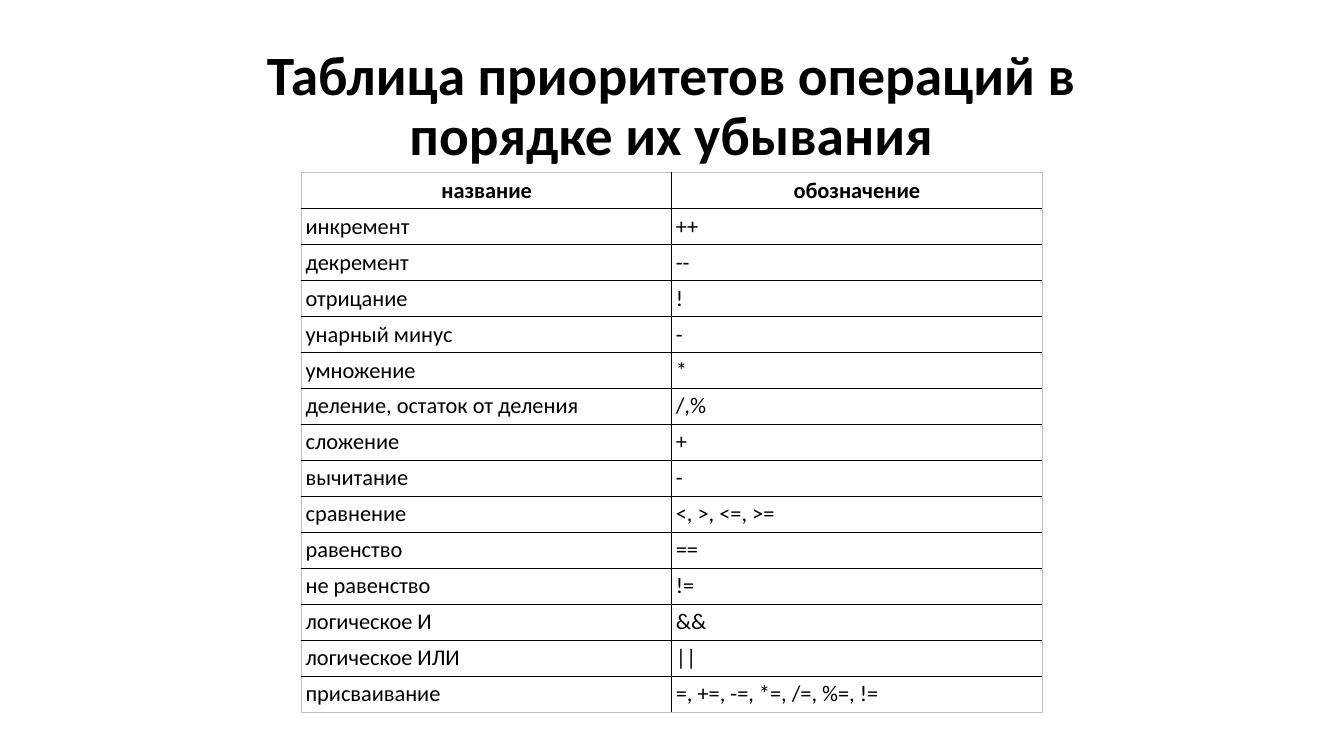
from lxml.etree import SubElement
from pptx import Presentation
from pptx.dml.color import RGBColor as RGB
from pptx.enum.text import MSO_ANCHOR as ANCHOR, PP_ALIGN as ALIGN
from pptx.oxml.ns import qn
from pptx.util import Pt

TITLE = "Таблица приоритетов операций в порядке их убывания"
ROWS = [
    ("название", "обозначение"),
    ("инкремент", "++"),
    ("декремент", "--"),
    ("отрицание", "!"),
    ("унарный минус", "-"),
    ("умножение", "*"),
    ("деление, остаток от деления", "/,%"),
    ("сложение", "+"),
    ("вычитание", "-"),
    ("сравнение", "<, >, <=, >="),
    ("равенство", "=="),
    ("не равенство", "!="),
    ("логическое И", "&&"),
    ("логическое ИЛИ", "||"),
    ("присваивание", "=, +=, -=, *=, /=, %=, !="),
]

THEME = {
    "font": "Calibri", "ink": "000000", "paper": "FFFFFF",
    "title": 39.6, "body": 16,
    "inner": ("000000", 1), "outer": ("C0C0C0", 0.5),
}
SLIDE_W, SLIDE_H = 960, 540
TITLE_BOX = (173.5, 20.9, 612, 102.2)
TABLE_LEFT, TABLE_TOP = 215.4, 123.1
COL_W, ROW_H, INSET = 264.5, 25.73, 2.9


def put_text(tf, text, size, bold=False, align=ALIGN.LEFT, spacing=None):
    """Write one formatted paragraph into a text frame."""
    p = tf.paragraphs[0]
    p.alignment = align
    if spacing:
        p.line_spacing = spacing
    r = p.add_run()
    r.text = text
    r.font.name, r.font.size, r.font.bold = THEME["font"], Pt(size), bold
    r.font.color.rgb = RGB.from_string(THEME["ink"])


def set_borders(cell, edges):
    """Draw the cell's borders; edges maps each side to whether it is outer."""
    tcPr = cell._tc.get_or_add_tcPr()
    for i, (side, is_outer) in enumerate(edges.items()):
        color, width = THEME["outer" if is_outer else "inner"]
        ln = SubElement(tcPr, qn(f"a:ln{side}"), w=str(Pt(width)))
        fill = SubElement(ln, qn("a:solidFill"))
        SubElement(fill, qn("a:srgbClr"), val=color)
        tcPr.insert(i, ln)


def add_title(s):
    """Add the bold title, resting on the top of the table."""
    tf = s.shapes.add_textbox(*map(Pt, TITLE_BOX)).text_frame
    tf.word_wrap = True
    tf.vertical_anchor = ANCHOR.BOTTOM
    put_text(tf, TITLE, THEME["title"], bold=True, align=ALIGN.CENTER, spacing=0.9)


def add_priorities(s):
    """Add the table of operations with its header row."""
    n_rows, n_cols = len(ROWS), len(ROWS[0])
    size = (COL_W * n_cols, ROW_H * n_rows)
    table = s.shapes.add_table(
        n_rows, n_cols, *map(Pt, (TABLE_LEFT, TABLE_TOP, *size))).table
    table.first_row = table.horz_banding = False
    for col in table.columns:
        col.width = Pt(COL_W)
    for i, row in enumerate(ROWS):
        table.rows[i].height = Pt(ROW_H)
        for j, text in enumerate(row):
            cell = table.cell(i, j)
            cell.margin_left = cell.margin_right = Pt(INSET)
            cell.margin_top = cell.margin_bottom = Pt(INSET)
            cell.vertical_anchor = ANCHOR.MIDDLE
            cell.fill.solid()
            cell.fill.fore_color.rgb = RGB.from_string(THEME["paper"])
            set_borders(cell, {"L": j == 0, "R": j == n_cols - 1,
                               "T": i == 0, "B": i == n_rows - 1})
            put_text(cell.text_frame, text, THEME["body"], bold=i == 0,
                     align=ALIGN.LEFT if i else ALIGN.CENTER)


prs = Presentation()
prs.slide_width, prs.slide_height = Pt(SLIDE_W), Pt(SLIDE_H)
s = prs.slides.add_slide(prs.slide_layouts[6])
add_title(s)
add_priorities(s)
prs.save("out.pptx")
